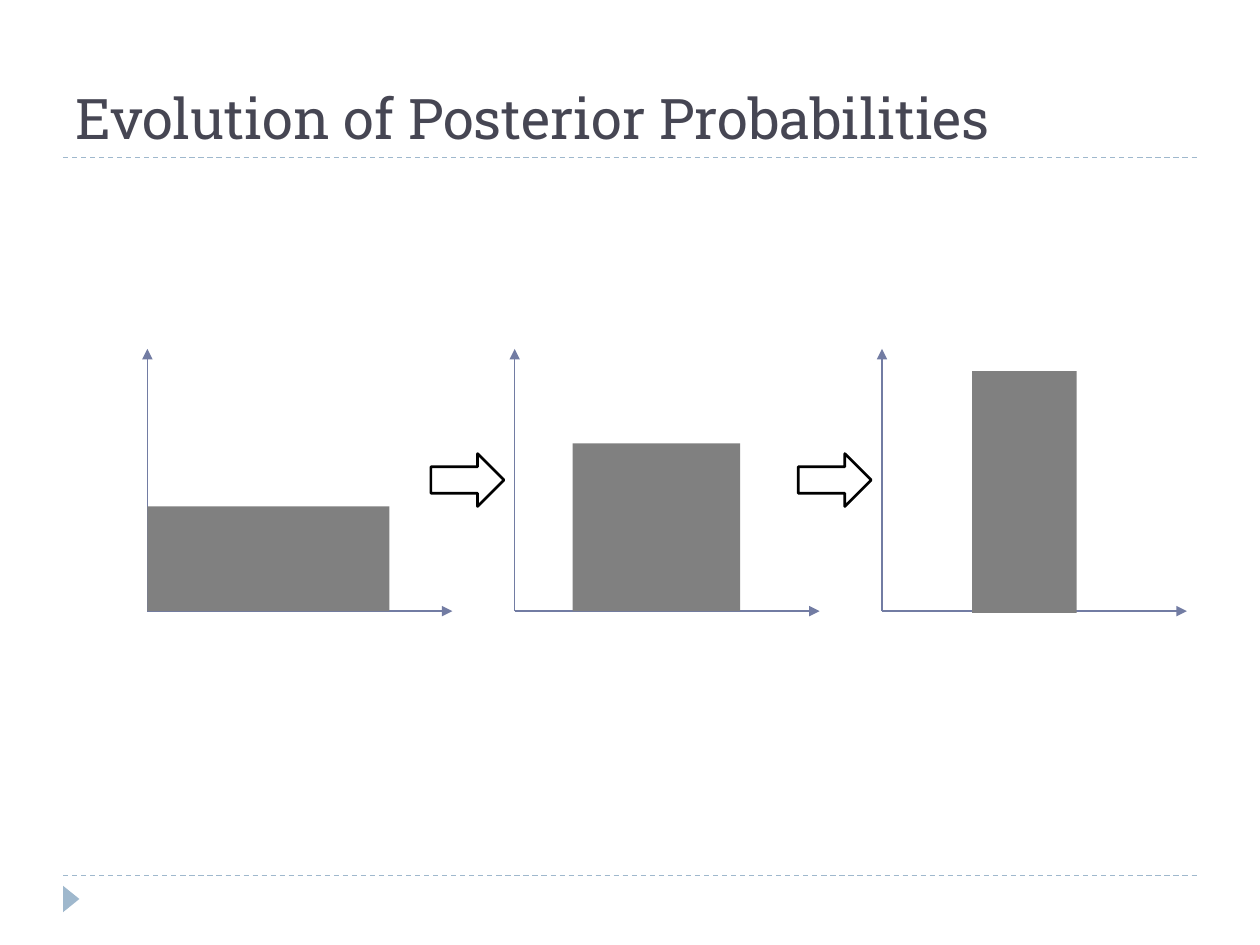
import pptx
import pptx.dml.color
import pptx.enum.dml
import pptx.enum.shapes
import pptx.enum.text
import pptx.oxml.ns
import pptx.util
from lxml import etree

SHAPES = pptx.enum.shapes.MSO_SHAPE
WIDTH, HEIGHT = 10, 7.5
MARGIN = 0.05 * WIDTH
TITLE = "Evolution of Posterior Probabilities"
TITLE_FORMAT = {"name": "Roboto Slab", "size": pptx.util.Pt(32), "bold": False}
COLOURS = {"title": "464653", "rule": "9FB8CD", "axis": "727CA3",
           "bar": "808080", "arrow": "FFFFFF", "outline": "000000"}
RULES = [1.25, 6.95]

ORIGIN, BASELINE = 1.17, 4.85
COLUMN = 2.915
AXIS_WIDTH, AXIS_HEIGHT = 2.42, 2.08
ARROW = {"offset": 2.25, "top": 3.6, "width": 0.58, "height": 0.42}
BARS = [
    {"offset": 0, "top": 4.02, "width": 1.92, "height": 0.83, "rotation": 0},
    {"offset": 0.46, "top": 3.52, "width": 1.33, "height": 1.33, "rotation": 0},
    {"offset": 0.17, "top": 3.49, "width": 1.92, "height": 0.83, "rotation": 90},
]


def inches(*lengths):
    return [pptx.util.Inches(length) for length in lengths]


def colour(value):
    return pptx.dml.color.RGBColor.from_string(value)


def add_line(page, start, end, value, dashed=False, head=False):
    line = page.shapes.add_connector(
        pptx.enum.shapes.MSO_CONNECTOR.STRAIGHT, *inches(*start, *end))
    line.line.width = pptx.util.Pt(0.75)
    line.line.color.rgb = colour(value)
    if dashed:
        line.line.dash_style = pptx.enum.dml.MSO_LINE.DASH
    if head:
        tail = etree.SubElement(line.line._get_or_add_ln(), pptx.oxml.ns.qn("a:tailEnd"))
        tail.set("type", "triangle")
    etree.SubElement(line._element.spPr, pptx.oxml.ns.qn("a:effectLst"))


def add_box(page, kind, place, fill, outline=None, rotation=0):
    box = page.shapes.add_shape(kind, *inches(*place))
    box.shadow.inherit = False
    box.rotation = rotation
    box.fill.solid()
    box.fill.fore_color.rgb = colour(fill)
    if outline:
        box.line.color.rgb = colour(outline)
        box.line.width = pptx.util.Pt(1.5)
    else:
        box.line.fill.background()


def add_title(page):
    title = page.shapes.title
    title.left, title.top, title.width, title.height = inches(
        MARGIN, 0.17, WIDTH - 2 * MARGIN, 1.08)
    title.text_frame.text = TITLE
    title.text_frame.vertical_anchor = pptx.enum.text.MSO_ANCHOR.BOTTOM
    para = title.text_frame.paragraphs[0]
    para.alignment = pptx.enum.text.PP_ALIGN.LEFT
    span = para.runs[0]
    for name, value in TITLE_FORMAT.items():
        setattr(span.font, name, value)
    span.font.color.rgb = colour(COLOURS["title"])


def add_plot(page, index, bar):
    left = ORIGIN + index * COLUMN
    origin = (left, BASELINE)
    for end in [(left + AXIS_WIDTH, BASELINE), (left, BASELINE - AXIS_HEIGHT)]:
        add_line(page, origin, end, COLOURS["axis"], head=True)
    place = (left + bar["offset"], bar["top"], bar["width"], bar["height"])
    add_box(page, SHAPES.RECTANGLE, place, COLOURS["bar"], rotation=bar["rotation"])


def main():
    deck = pptx.Presentation()
    deck.slide_width, deck.slide_height = inches(WIDTH, HEIGHT)
    page = deck.slides.add_slide(deck.slide_layouts.get_by_name("Title Only"))
    for height in RULES:
        add_line(page, (MARGIN, height), (WIDTH - MARGIN, height),
                 COLOURS["rule"], dashed=True)
    add_box(page, SHAPES.ISOSCELES_TRIANGLE, (0.46, 7.07, 0.21, 0.13),
            COLOURS["rule"], rotation=90)
    add_title(page)
    for index, bar in enumerate(BARS):
        add_plot(page, index, bar)
    for index in range(len(BARS) - 1):
        left = ORIGIN + index * COLUMN + ARROW["offset"]
        add_box(page, SHAPES.RIGHT_ARROW,
                (left, ARROW["top"], ARROW["width"], ARROW["height"]),
                COLOURS["arrow"], COLOURS["outline"])
    deck.save("out.pptx")


if __name__ == "__main__":
    main()
